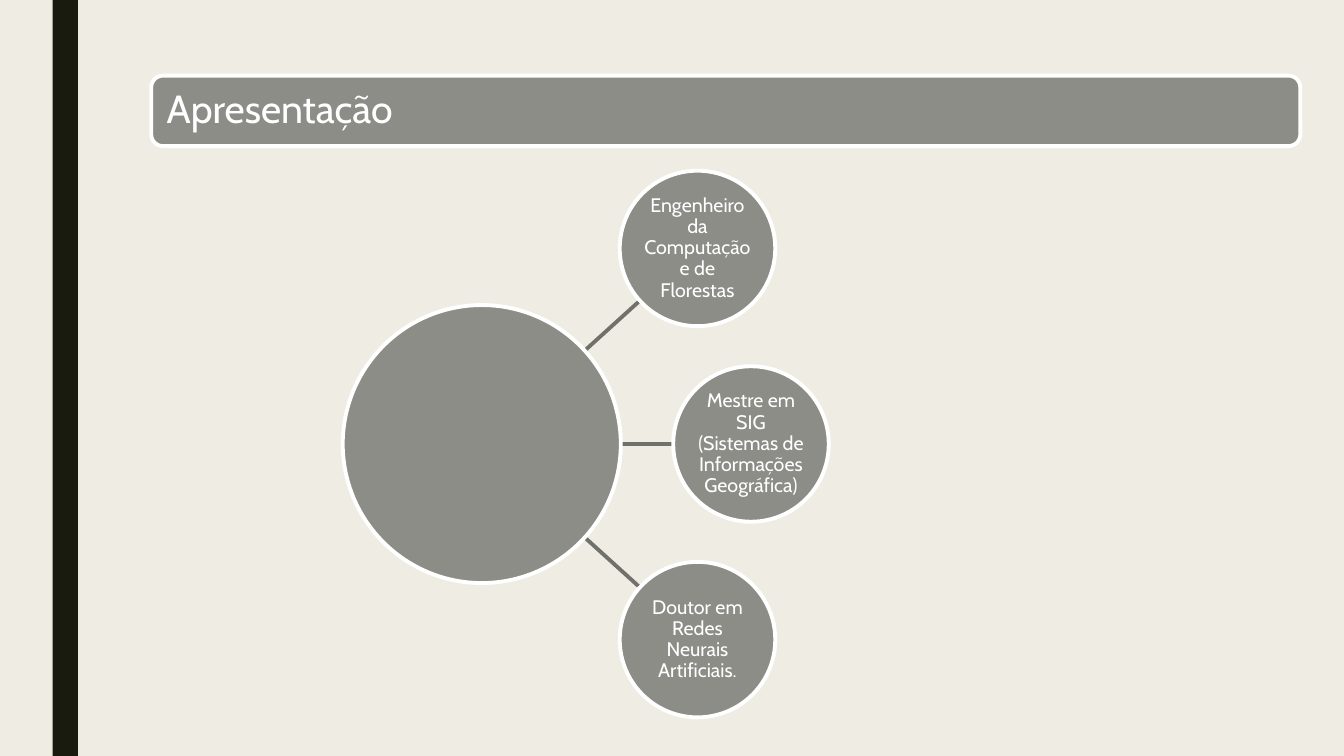
from math import cos, radians, sin, tan

from lxml.etree import SubElement
from pptx import Presentation
from pptx.dml.color import RGBColor
from pptx.enum.shapes import MSO_CONNECTOR, MSO_SHAPE
from pptx.enum.text import MSO_ANCHOR, PP_ALIGN
from pptx.oxml.ns import qn
from pptx.util import Inches, Pt

CREAM = RGBColor(0xEF, 0xED, 0xE3)
DARK = RGBColor(0x19, 0x1B, 0x0E)
GREY = RGBColor(0x8C, 0x8D, 0x86)
SPOKE = RGBColor(0x70, 0x71, 0x6B)
WHITE = RGBColor(0xFF, 0xFF, 0xFF)
FONT = "Cabin"
EDGE = Pt(2.75)

WIDTH, HEIGHT = Inches(13.33), Inches(7.5)
COL, ROW = WIDTH / 100, HEIGHT / 100

# Spoke angle in degrees, distance as a share of the diagram height, text
ROLES = [
    (-42.2, 0.53, "Engenheiro da Computação e de Florestas"),
    (0, 0.49, "Mestre em SIG (Sistemas de Informações Geográfica)"),
    (42.2, 0.53, "Doutor em Redes Neurais Artificiais."),
]


def grid(left, top, wide, high):
    """Turn columns and rows into a box of slide lengths."""
    return left * COL, top * ROW, wide * COL, high * ROW


def add_form(slide, kind, box, fill, edge=None):
    form = slide.shapes.add_shape(kind, *(round(side) for side in box))
    form.shadow.inherit = False
    form.fill.solid()
    form.fill.fore_color.rgb = fill
    if edge is None:
        form.line.fill.background()
    else:
        form.line.color.rgb = edge
        form.line.width = EDGE
    return form


def add_disc(slide, x, y, size):
    box = x - size / 2, y - size / 2, size, size
    return add_form(slide, MSO_SHAPE.OVAL, box, GREY, WHITE)


def set_text(form, text, size, align, inset):
    frame = form.text_frame
    frame.text = text
    frame.word_wrap = True
    frame.vertical_anchor = MSO_ANCHOR.MIDDLE
    frame.margin_left = frame.margin_right = Inches(inset)
    frame.margin_top = frame.margin_bottom = Inches(inset)
    line = frame.paragraphs[0]
    line.alignment = align
    line.line_spacing = 0.9
    font = line.runs[0].font
    font.name, font.size = FONT, Pt(size)
    font.color.rgb = WHITE


def add_spoke(slide, *ends):
    spoke = slide.shapes.add_connector(
        MSO_CONNECTOR.STRAIGHT, *(round(end) for end in ends))
    spoke.line.color.rgb = SPOKE
    spoke.line.width = EDGE
    SubElement(spoke._element.spPr, qn("a:effectLst"))


def add_title(slide, box):
    title = add_form(slide, MSO_SHAPE.ROUNDED_RECTANGLE, box, GREY, WHITE)
    set_text(title, "Apresentação", 28, PP_ALIGN.LEFT, 0.12)


def add_wheel(slide, box):
    """Draw a hub at the left of the box, with one disc per role around it."""
    left, top, _, high = box
    hub, disc = 0.506 * high, 0.283 * high
    x, y = left + hub / 2, top + high / 2
    start = 0.35 * hub
    for angle, reach, _ in ROLES:
        turn = radians(angle)
        rim = reach * high - disc / 2
        add_spoke(slide, x + start, y + start * tan(turn),
                  x + rim * cos(turn), y + rim * sin(turn))
    add_disc(slide, x, y, hub)
    for angle, reach, text in ROLES:
        turn, far = radians(angle), reach * high
        role = add_disc(slide, x + far * cos(turn), y + far * sin(turn), disc)
        set_text(role, text, 14, PP_ALIGN.CENTER, 0.01)


def main():
    deck = Presentation()
    deck.slide_width, deck.slide_height = WIDTH, HEIGHT
    slide = deck.slides.add_slide(deck.slide_layouts[6])
    slide.background.fill.solid()
    slide.background.fill.fore_color.rgb = CREAM
    add_form(slide, MSO_SHAPE.RECTANGLE, grid(3.92, 0, 1.88, 100), DARK)
    add_title(slide, grid(11.25, 10, 85.5, 9.33))
    add_wheel(slide, grid(25.5, 22.4, 36.15, 72.67))
    deck.save("out.pptx")


if __name__ == "__main__":
    main()
